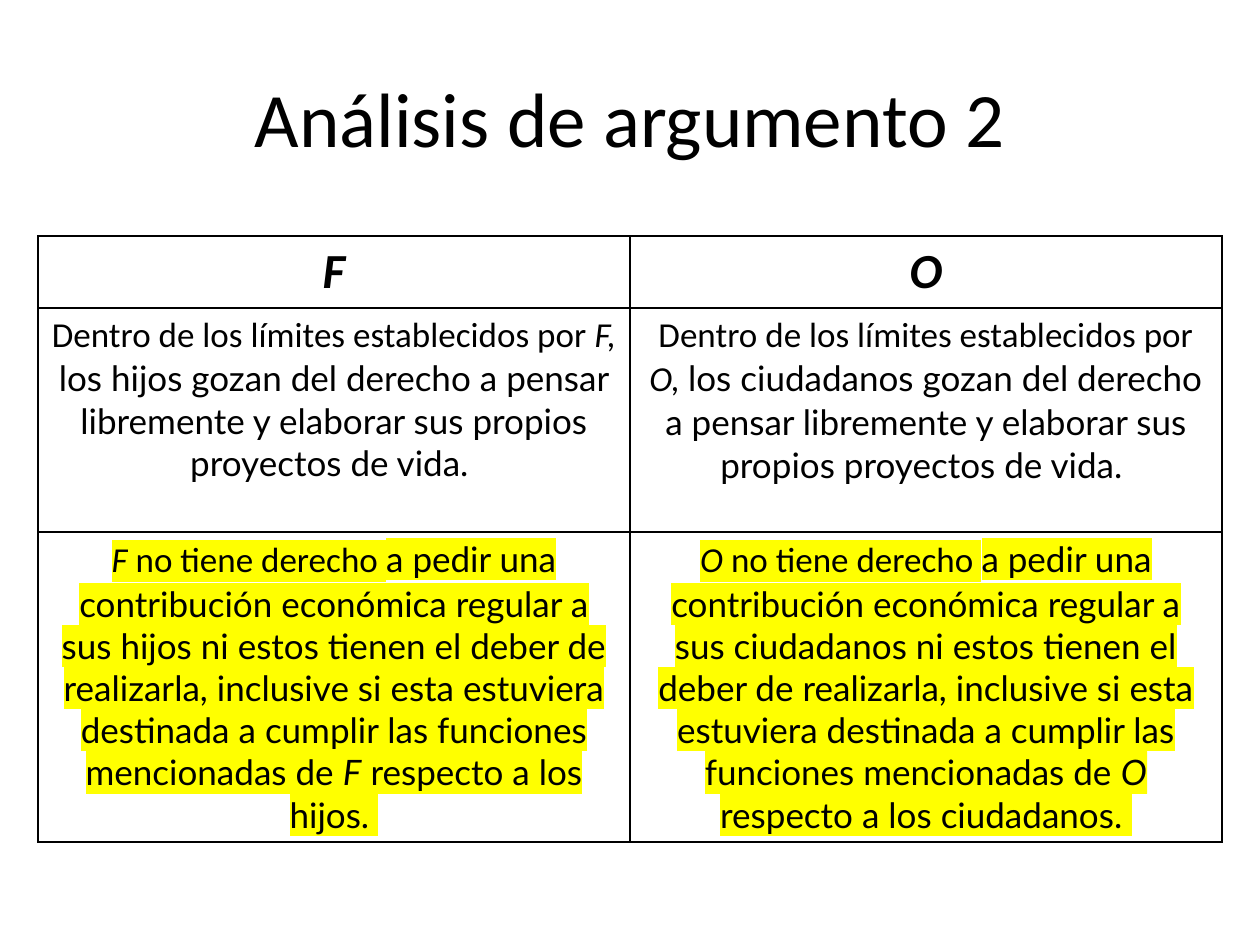
from lxml import etree
from pptx import Presentation
from pptx import util as u
from pptx.dml.color import RGBColor
from pptx.enum import text
from pptx.oxml.ns import qn

PX = 914400 // 126
THEME = {
    "ink": "000000", "mark": "FFFF00", "paper": "FFFFFF",
    "head": "Calibri", "body": "Lato",
    "title": 44, "label": 28, "cell": 20, "border": 1,
}


def add_run(p, content, size=THEME["cell"], font=THEME["head"],
            bold=False, italic=False, mark=False):
    r = p.add_run()
    r.text = content
    f = r.font
    f.size, f.bold, f.italic = u.Pt(size), bold, italic
    f.color.rgb = RGBColor.from_string(THEME["ink"])
    if mark:
        hl = etree.SubElement(r._r.get_or_add_rPr(), qn("a:highlight"))
        etree.SubElement(hl, qn("a:srgbClr"), val=THEME["mark"])
    f.name = font


def style_cell(cell):
    tc_pr = cell._tc.get_or_add_tcPr()
    for side in ("lnL", "lnR", "lnT", "lnB"):
        ln = etree.SubElement(tc_pr, qn(f"a:{side}"), w=str(u.Pt(THEME["border"])))
        fill = etree.SubElement(ln, qn("a:solidFill"))
        etree.SubElement(fill, qn("a:srgbClr"), val=THEME["ink"])
    cell.fill.solid()
    cell.fill.fore_color.rgb = RGBColor.from_string(THEME["paper"])


prs = Presentation()
prs.slide_width, prs.slide_height = u.Inches(10), u.Inches(7.5)
s = prs.slides.add_slide(prs.slide_layouts[6])

# Title
sp = s.shapes.add_textbox(63 * PX, 38 * PX, 1134 * PX, 157 * PX)
tf = sp.text_frame
tf.word_wrap = True
tf.vertical_anchor = text.MSO_ANCHOR.MIDDLE
p = tf.paragraphs[0]
p.alignment = text.PP_ALIGN.CENTER
add_run(p, "Análisis de argumento 2", size=THEME["title"])

# Table grid
row_heights = [72, 224, 310]
col_width = 592
table = s.shapes.add_table(3, 2, 38 * PX, 236 * PX, 2 * col_width * PX,
                           sum(row_heights) * PX).table
for row, height in zip(table.rows, row_heights):
    row.height = height * PX

# One column for each side of the comparison
body = {"font": THEME["body"]}
for col, (letter, members) in enumerate([("F", "hijos"), ("O", "ciudadanos")]):
    table.columns[col].width = col_width * PX
    rows = [
        [(letter, {"size": THEME["label"], "bold": True, "italic": True})],
        [("Dentro de los límites establecidos por ", {}),
         (f"{letter}, ", {"italic": True}),
         (f"los {members} gozan del derecho a pensar libremente y elaborar "
          "sus propios proyectos de vida. ", body)],
        [(letter, {"italic": True, "mark": True}),
         (" no tiene derecho ", {"mark": True}),
         (f"a pedir una contribución económica regular a sus {members} ni estos "
          "tienen el deber de realizarla, inclusive si esta estuviera destinada "
          "a cumplir las funciones mencionadas de ", {**body, "mark": True}),
         (letter, {**body, "italic": True, "mark": True}),
         (f" respecto a los {members}. ", {**body, "mark": True})],
    ]
    for row, runs in enumerate(rows):
        cell = table.cell(row, col)
        style_cell(cell)
        p = cell.text_frame.paragraphs[0]
        p.alignment = text.PP_ALIGN.CENTER
        for content, style in runs:
            add_run(p, content, **style)

prs.save("out.pptx")
